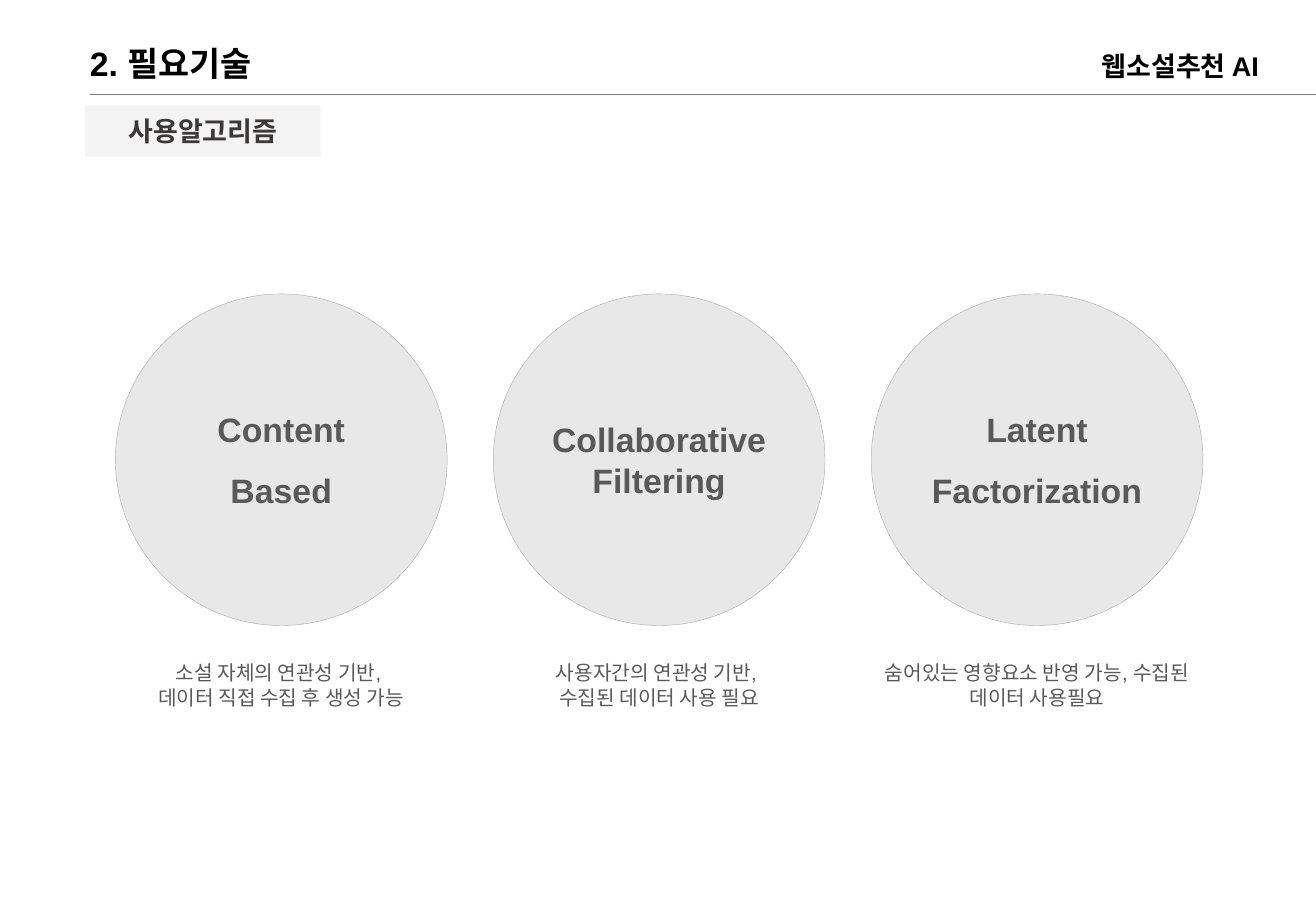
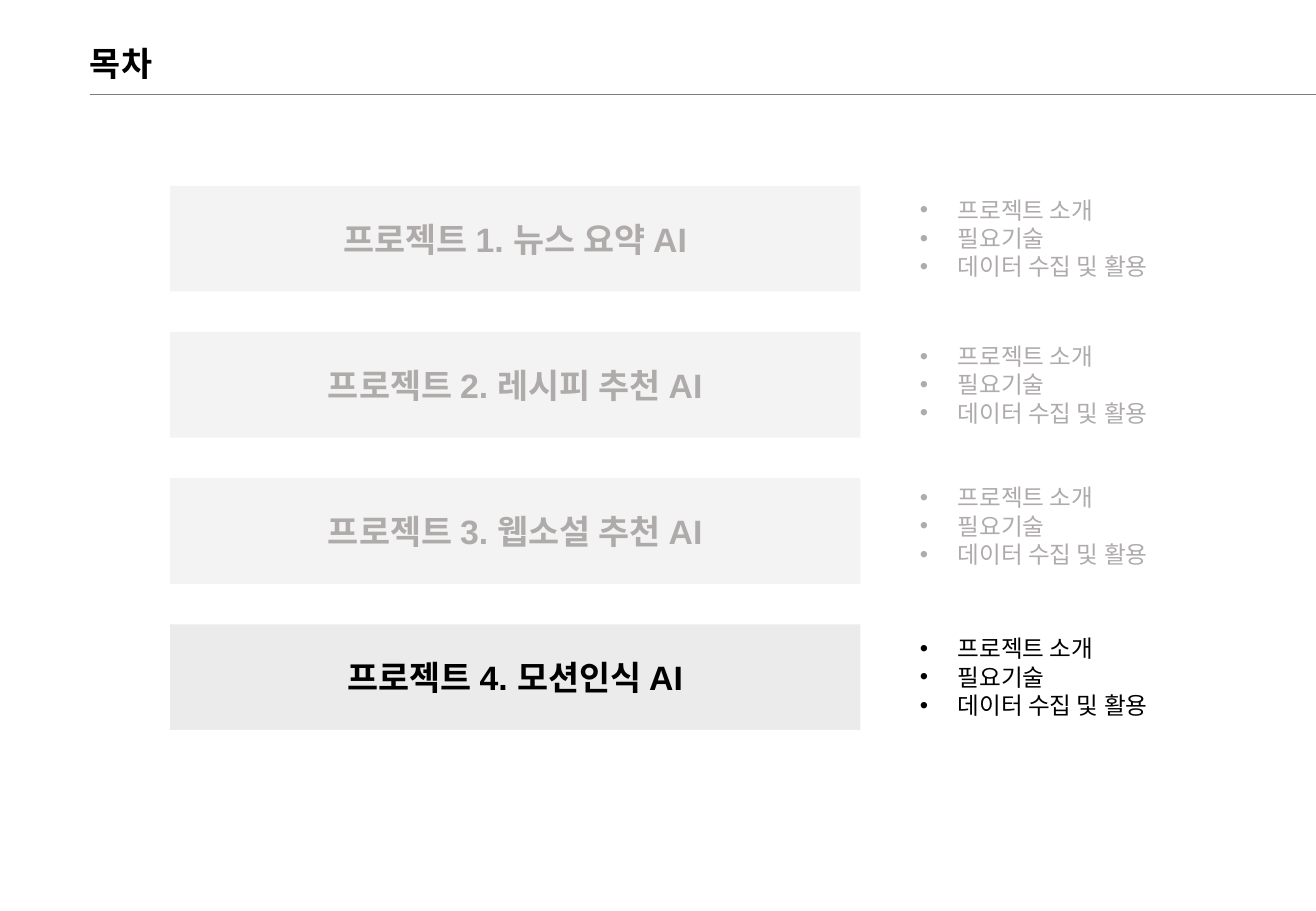
"""Build the algorithm overview and the table of contents."""
from dataclasses import dataclass

from lxml import etree
from pptx import Presentation
from pptx import util as u
from pptx.dml.color import RGBColor
from pptx.enum import shapes, text
from pptx.oxml import ns

BLACK = RGBColor(0x00, 0x00, 0x00)
CHARCOAL = RGBColor(0x3B, 0x38, 0x38)
TEXT_GRAY = RGBColor(0x59, 0x59, 0x59)
RULE_GRAY = RGBColor(0x7C, 0x7C, 0x7C)
MUTED = RGBColor(0xAF, 0xAB, 0xAB)
CIRCLE_GRAY = RGBColor(0xD0, 0xCE, 0xCE)
BAND_GRAY = RGBColor(0xE7, 0xE6, 0xE6)

SLIDE_WIDTH, SLIDE_HEIGHT = 10.83, 7.5
COMPARISON, TITLE_ONLY = 4, 5
CIRCLE_LEFT, CIRCLE_TOP, CIRCLE_SIZE, CIRCLE_PITCH = 0.95, 2.42, 2.73, 3.11
BAND_TOP, LAST_BAND_TOP = 1.53, 5.14
TOPICS = "프로젝트 소개\n필요기술\n데이터 수집 및 활용"


@dataclass(frozen=True)
class Box:
    left: float
    top: float
    width: float
    height: float

    def lengths(self) -> tuple:
        return tuple(map(u.Inches, (self.left, self.top, self.width, self.height)))


@dataclass(frozen=True)
class Style:
    size: int
    color: RGBColor
    bold: bool = False
    font: str = "Arial"
    align: text.PP_ALIGN = text.PP_ALIGN.LEFT
    space_after: int = 0


@dataclass(frozen=True)
class Algorithm:
    name: str
    caption: str


@dataclass(frozen=True)
class Project:
    name: str
    color: RGBColor = MUTED
    opacity: int = 47
    list_offset: float = 0.03


TITLE = Style(20, BLACK, True)
RUNNING_HEAD = Style(16, BLACK, True)
SECTION = Style(16, CHARCOAL, True, "Calibri", text.PP_ALIGN.CENTER)
CIRCLE_NAME = Style(20, TEXT_GRAY, True, "Arial", text.PP_ALIGN.CENTER, 12)
CAPTION = Style(12, TEXT_GRAY, align=text.PP_ALIGN.CENTER)

ALGORITHMS = (
    Algorithm("Content\nBased", "소설 자체의 연관성 기반, \n데이터 직접 수집 후 생성 가능"),
    Algorithm("Collaborative Filtering", "사용자간의 연관성 기반, \n수집된 데이터 사용 필요"),
    Algorithm("Latent\nFactorization", "숨어있는 영향요소 반영 가능, 수집된 데이터 사용필요"),
)
PROJECTS = (
    Project("프로젝트 1. 뉴스 요약 AI"),
    Project("프로젝트 2. 레시피 추천 AI"),
    Project("프로젝트 3. 웹소설 추천 AI", list_offset=-0.01),
    Project("프로젝트 4. 모션인식 AI", BLACK, 79),
)


def write(shape, words: str, style: Style, anchor=text.MSO_ANCHOR.TOP, wrap: bool = True) -> None:
    """Fill a shape with uniformly styled paragraphs."""
    frame = shape.text_frame
    frame.text = words
    frame.word_wrap = wrap
    frame.auto_size = text.MSO_AUTO_SIZE.NONE
    frame.vertical_anchor = anchor
    for paragraph in frame.paragraphs:
        paragraph.alignment = style.align
        paragraph.space_before = u.Pt(0)
        paragraph.space_after = u.Pt(style.space_after)
        for run in paragraph.runs:
            run.font.name = style.font
            run.font.size = u.Pt(style.size)
            run.font.bold = style.bold
            run.font.color.rgb = style.color


def place(shape, box: Box) -> None:
    """Move and size a placeholder."""
    shape.left, shape.top, shape.width, shape.height = box.lengths()


def add_panel(slide, kind, box: Box, color: RGBColor, opacity: int):
    """Add a translucent shape without outline or shadow."""
    panel = slide.shapes.add_shape(kind, *box.lengths())
    panel.shadow.inherit = False
    panel.fill.solid()
    panel.fill.fore_color.rgb = color
    tint = panel.element.spPr.find(".//" + ns.qn("a:srgbClr"))
    etree.SubElement(tint, ns.qn("a:alpha"), val=str(opacity * 1000))
    panel.line.fill.background()
    return panel


def add_text(slide, box: Box, words: str, style: Style, wrap: bool = True) -> None:
    """Add a text box."""
    write(slide.shapes.add_textbox(*box.lengths()), words, style, wrap=wrap)


def add_titled_slide(prs, layout: int, title: str):
    """Add a slide with the shared title style."""
    slide = prs.slides.add_slide(prs.slide_layouts[layout])
    place(slide.shapes.title, Box(0.64, 0.3, 6, 0.44))
    write(slide.shapes.title, title, TITLE)
    return slide


def move_rule_to_master(prs, slide) -> None:
    """Draw the header rule and hand it to the slide master."""
    rule = slide.shapes.add_connector(
        shapes.MSO_CONNECTOR.STRAIGHT,
        u.Inches(0.74), u.Inches(0.78), u.Inches(SLIDE_WIDTH), u.Inches(0.78))
    rule.line.color.rgb = RULE_GRAY
    rule.line.width = u.Pt(0.5)
    etree.SubElement(rule.element.spPr, ns.qn("a:effectLst"))
    prs.slide_master.shapes.element.append(rule.element)


def add_algorithm(slide, index: int, algorithm: Algorithm) -> None:
    """Add a named circle and the caption below it."""
    left = CIRCLE_LEFT + index * CIRCLE_PITCH
    circle = add_panel(slide, shapes.MSO_SHAPE.OVAL,
                       Box(left, CIRCLE_TOP, CIRCLE_SIZE, CIRCLE_SIZE), CIRCLE_GRAY, 46)
    circle.line.color.rgb = MUTED
    circle.line.width = u.Pt(0.25)
    frame = circle.text_frame
    frame.margin_left = frame.margin_top = frame.margin_right = frame.margin_bottom = 0
    write(circle, algorithm.name, CIRCLE_NAME, text.MSO_ANCHOR.MIDDLE)
    add_text(slide, Box(left, 5.39, CIRCLE_SIZE, 0.5), algorithm.caption, CAPTION)


def add_bullets(shape) -> None:
    """Give every paragraph a hanging bullet."""
    indent = u.Inches(0.31)
    for paragraph in shape.text_frame.paragraphs:
        properties = paragraph._p.get_or_add_pPr()
        properties.set("marL", str(indent))
        properties.set("indent", str(-indent))
        etree.SubElement(properties, ns.qn("a:buFont"), typeface="Arial")
        etree.SubElement(properties, ns.qn("a:buChar"), char="•")


def add_project(slide, topics, index: int, project: Project) -> None:
    """Add a project band and its list of topics."""
    top = BAND_TOP + index * (LAST_BAND_TOP - BAND_TOP) / (len(PROJECTS) - 1)
    band = add_panel(slide, shapes.MSO_SHAPE.RECTANGLE,
                     Box(1.4, top, 5.68, 0.87), BAND_GRAY, project.opacity)
    write(band, project.name,
          Style(20, project.color, True, align=text.PP_ALIGN.CENTER), text.MSO_ANCHOR.MIDDLE)
    place(topics, Box(7.47, top + project.list_offset, 2.22, 0.81))
    write(topics, TOPICS, Style(14, project.color, font="Calibri"))
    add_bullets(topics)


def build_algorithms(prs) -> None:
    """Build the slide of algorithms."""
    slide = add_titled_slide(prs, TITLE_ONLY, "2. 필요기술")
    move_rule_to_master(prs, slide)
    section = add_panel(slide, shapes.MSO_SHAPE.RECTANGLE,
                        Box(0.7, 0.87, 1.94, 0.42), BAND_GRAY, 47)
    write(section, "사용알고리즘", SECTION, text.MSO_ANCHOR.MIDDLE)
    add_text(slide, Box(8.97, 0.36, 1.63, 0.37), "웹소설추천 AI", RUNNING_HEAD, wrap=False)
    for index, algorithm in enumerate(ALGORITHMS):
        add_algorithm(slide, index, algorithm)


def build_contents(prs) -> None:
    """Build the table of contents."""
    slide = add_titled_slide(prs, COMPARISON, "목차")
    topic_lists = list(slide.placeholders)[1:]
    for index, (topics, project) in enumerate(zip(topic_lists, PROJECTS)):
        add_project(slide, topics, index, project)


def main() -> None:
    """Save both slides."""
    prs = Presentation()
    prs.slide_width, prs.slide_height = u.Inches(SLIDE_WIDTH), u.Inches(SLIDE_HEIGHT)
    build_algorithms(prs)
    build_contents(prs)
    prs.save("out.pptx")


if __name__ == "__main__":
    main()
